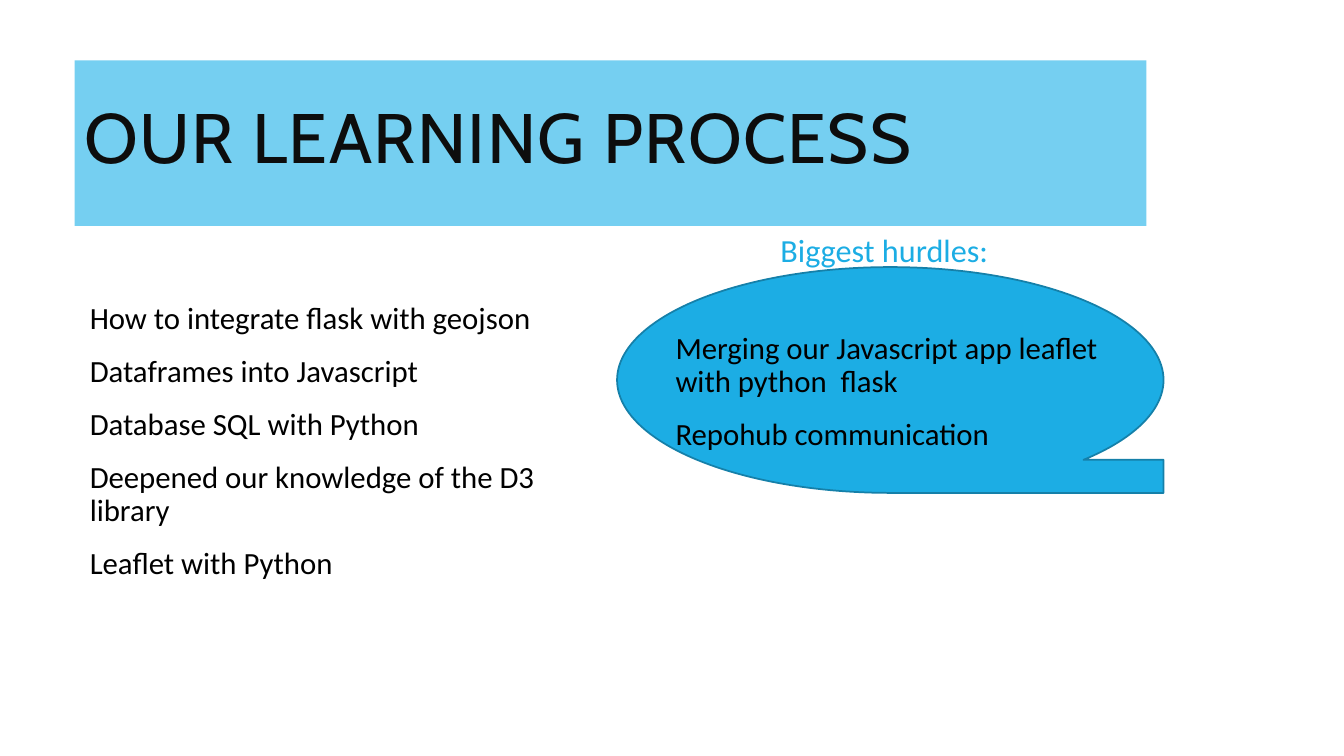
from pptx import Presentation, util as u
from pptx.dml.color import RGBColor
from pptx.enum import shapes, text

# Content
TITLE = "OUR LEARNING PROCESS"
LESSONS = [
    "How to integrate flask with geojson",
    "Dataframes into Javascript",
    "Database SQL with Python",
    "Deepened our knowledge of the D3 library",
    "Leaflet with Python",
]
HURDLES_HEADING = "Biggest hurdles:"
HURDLES = [
    "Merging our Javascript app leaflet\vwith python  flask",
    "Repohub communication",
]
COLORS = {"banner": "75CFF1", "accent": "1CADE4", "outline": "1580A9",
          "title": "0D0D0D", "body": "000000"}

# Geometry: left, top, width, height in inches
WIDTH, HEIGHT = 13.33, 7.5
MARGIN, COLUMN = 0.74, 5.2
BOXES = {
    "title": (MARGIN, 0.6, 10.63, 1.64),
    "lessons": (MARGIN, 2.43, COLUMN, 3.65),
    "heading": (7.59, 2.05, COLUMN, 0.9),
    "hurdles": (6.55, 3.25, COLUMN, 1.89),
    "tape": (6.12, 2.65, 5.42, 2.24),
}
INSET = 0.05
FIRST_LINE_DROP = 0.53  # one line of 22 pt text with its spacing


def color(name):
    return RGBColor.from_string(COLORS[name])


def inches(box):
    return [u.Inches(value) for value in box]


def write(shape, box, lines, size, ink="body", font="Calibri", spacing=0.9,
          before=0, after=0, indent=0, side=INSET, top=INSET,
          anchor=text.MSO_ANCHOR.TOP, tracking=0):
    """Place a placeholder and fill it with evenly formatted paragraphs."""
    shape.left, shape.top, shape.width, shape.height = inches(box)
    frame = shape.text_frame
    frame.text = "\n".join(lines)
    frame.word_wrap = True
    frame.auto_size = text.MSO_AUTO_SIZE.NONE
    frame.vertical_anchor = anchor
    frame.margin_left = frame.margin_right = u.Inches(side)
    frame.margin_top, frame.margin_bottom = u.Inches(top), u.Inches(INSET)
    for paragraph in frame.paragraphs:
        paragraph.alignment = text.PP_ALIGN.LEFT
        paragraph.line_spacing = spacing
        paragraph.space_before, paragraph.space_after = u.Pt(before), u.Pt(after)
        properties = paragraph._p.get_or_add_pPr()
        properties.set("marL", str(u.Inches(indent)))
        properties.set("indent", "0")
        properties.append(properties.makeelement(
            "{http://schemas.openxmlformats.org/drawingml/2006/main}buNone", {}))
        for run in paragraph.runs:
            run.font.name, run.font.size, run.font.bold = font, u.Pt(size), False
            run.font.color.rgb = color(ink)
            if tracking:
                run._r.get_or_add_rPr().set("spc", str(tracking * 100))


# Slide with the comparison layout
presentation = Presentation()
presentation.slide_width, presentation.slide_height = inches((WIDTH, HEIGHT))
slide = presentation.slides.add_slide(presentation.slide_layouts[4])
places = {shape.placeholder_format.idx: shape for shape in slide.placeholders}

# Title banner
title = slide.shapes.title
write(title, BOXES["title"], [TITLE], 50, ink="title", font="Cabin", spacing=0.8,
      side=0.1, anchor=text.MSO_ANCHOR.MIDDLE, tracking=1)
title.fill.solid()
title.fill.fore_color.rgb = color("banner")

# Lessons, heading and hurdles
list_format = dict(size=22, before=12, after=2, indent=0.1)
write(places[2], BOXES["lessons"], LESSONS, top=INSET + FIRST_LINE_DROP, **list_format)
write(places[3], BOXES["heading"], [HURDLES_HEADING], 23, ink="accent",
      side=0.15, anchor=text.MSO_ANCHOR.MIDDLE)
write(places[4], BOXES["hurdles"], HURDLES, **list_format)
unused = places[1]._element
unused.getparent().remove(unused)

# Tape shape behind the text
tape = slide.shapes.add_shape(
    shapes.MSO_SHAPE.FLOWCHART_SEQUENTIAL_ACCESS_STORAGE, *inches(BOXES["tape"]))
tape.shadow.inherit = False
tape.fill.solid()
tape.fill.fore_color.rgb = color("accent")
tape.line.color.rgb = color("outline")
tape.line.width = u.Pt(1.25)
title._element.addprevious(tape._element)

presentation.save("out.pptx")
